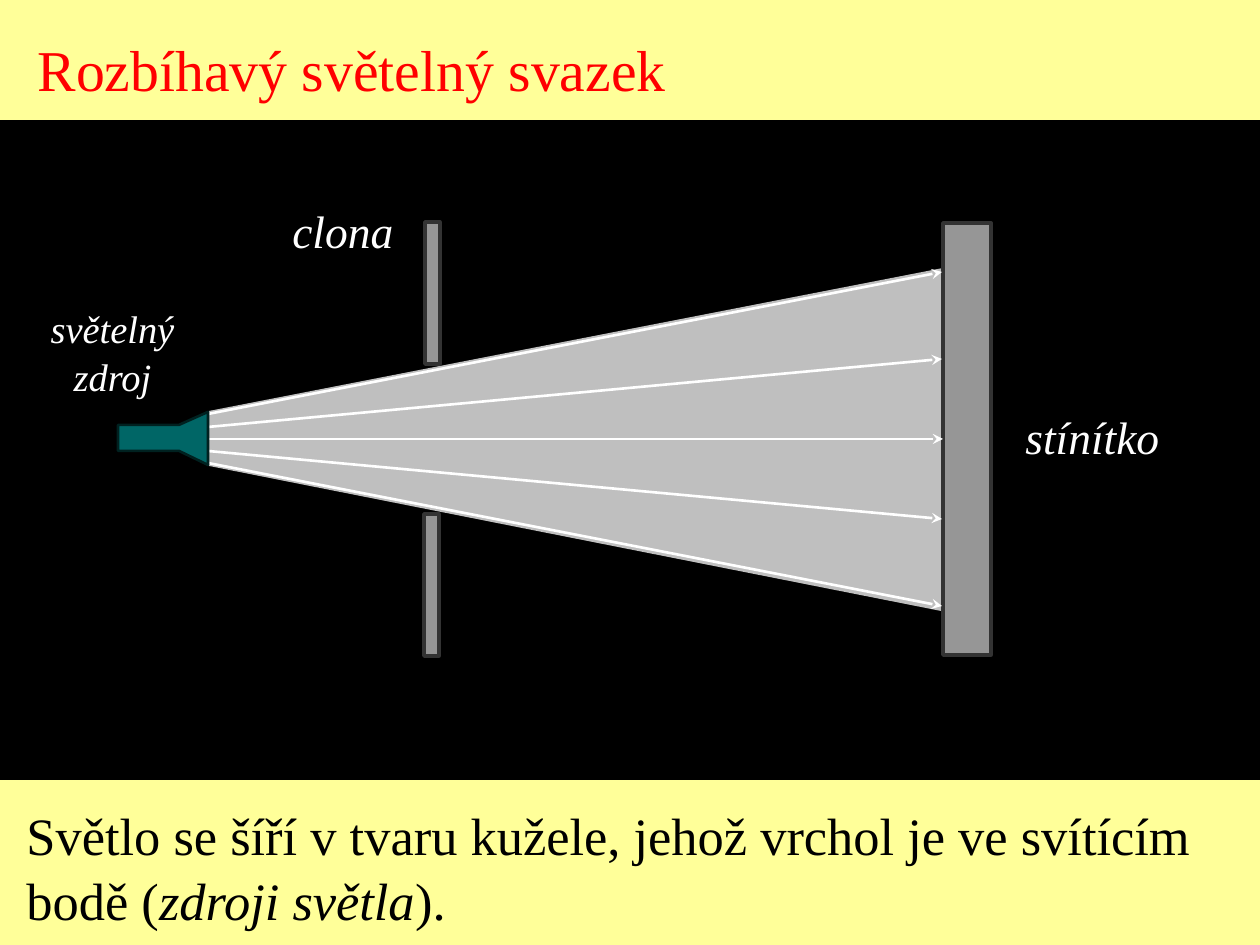
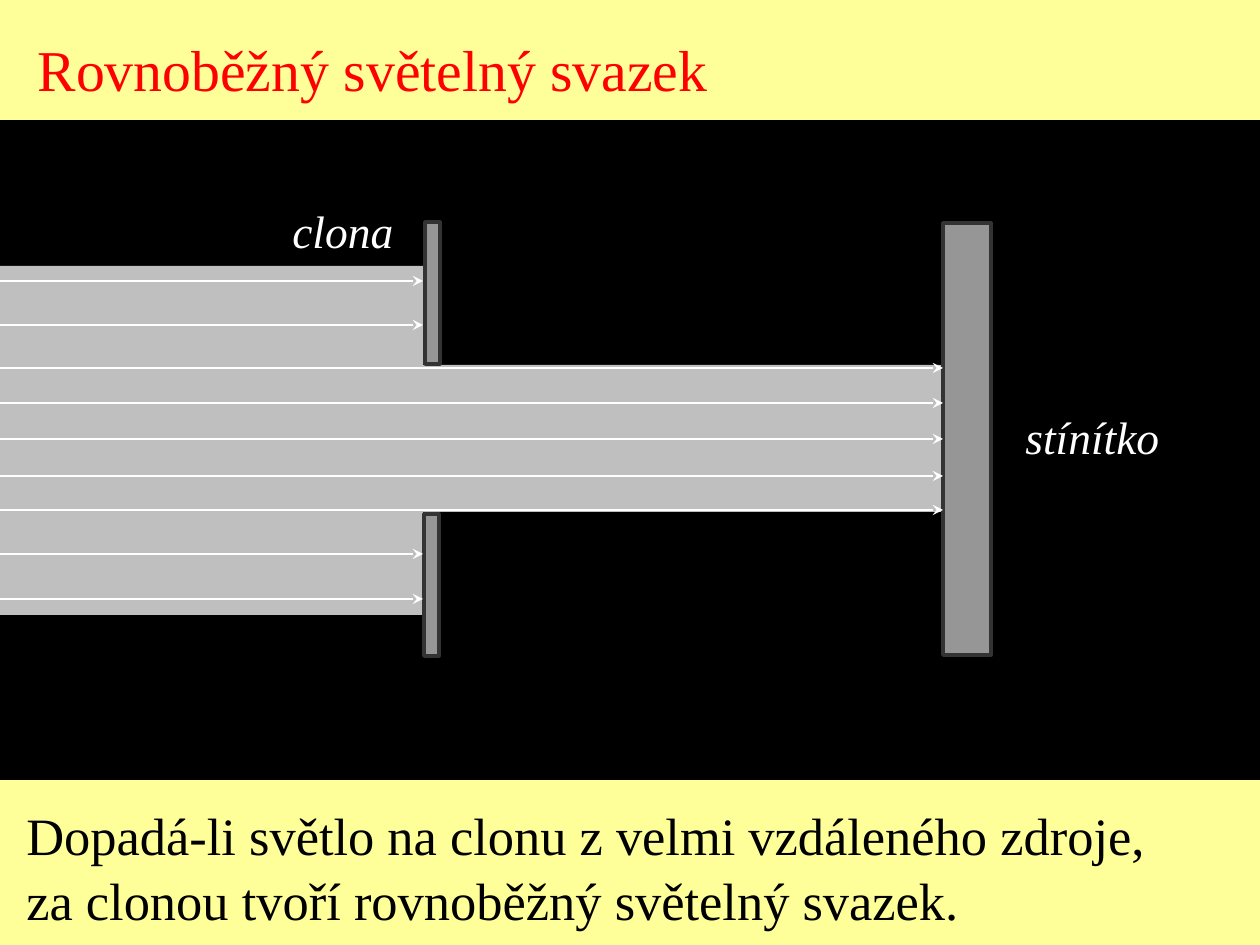
"""Two slides on diverging and parallel beams of light."""
from lxml import etree
from pptx import Presentation
from pptx.dml.color import RGBColor
from pptx.enum.shapes import MSO_CONNECTOR, MSO_SHAPE
from pptx.enum.text import MSO_ANCHOR, MSO_AUTO_SIZE, PP_ALIGN
from pptx.oxml.ns import qn
from pptx.util import Emu, Pt

STRAIGHT = MSO_CONNECTOR.STRAIGHT
RECT = MSO_SHAPE.RECTANGLE
TOP = MSO_ANCHOR.TOP
FIXED = MSO_AUTO_SIZE.NONE
LEFT, CENTER = PP_ALIGN.LEFT, PP_ALIGN.CENTER

SCALE = 914400 / 126
FONT = "Times New Roman"
LEADING = 1.04
CREAM, BLACK, WHITE, RED = "FFFF99", "000000", "FFFFFF", "FF0000"
GRAY, EDGE, TEAL, DARK = "969696", "333333", "006666", "002120"
AXIS = 439
SHUT = 423
WALL = 943


def px(size):
    """Turn pixels into EMU."""
    return Emu(round(size * SCALE))


def paint(format, color):
    """Give a fill one solid colour."""
    format.solid()
    format.fore_color.rgb = RGBColor.from_string(color)


def style(shape, fill, edge=None, width=1):
    """Set fill and outline, without shadow."""
    shape.shadow.inherit = False
    paint(shape.fill, fill)
    if edge:
        paint(shape.line.fill, edge)
        shape.line.width = Pt(width)
    else:
        shape.line.fill.background()


def write(shape, lines, size, color, slant=False, align=LEFT):
    """Write lines, each a list of (text, italic) runs or a string."""
    frame = shape.text_frame
    frame.word_wrap = False
    frame.auto_size = FIXED
    frame.vertical_anchor = TOP
    for row, line in enumerate(lines):
        para = frame.add_paragraph() if row else frame.paragraphs[0]
        para.alignment = align
        para.line_spacing = LEADING
        for text, tilt in [(line, slant)] if isinstance(line, str) else line:
            run = para.add_run()
            run.text = text
            run.font.name = FONT
            run.font.size = Pt(size)
            run.font.italic = tilt
            paint(run.font.fill, color)


def label(slide, box, lines, size, color=WHITE, slant=True, align=LEFT):
    """Add a text box."""
    shape = slide.shapes.add_textbox(*map(px, box))
    write(shape, lines, size, color, slant, align)


def block(slide, box, fill, edge, width):
    """Add a rectangle."""
    shape = slide.shapes.add_shape(RECT, *map(px, box))
    style(shape, fill, edge, width)
    return shape


def outline(slide, points, fill, edge=None, width=1):
    """Add a closed polygon."""
    first, *rest = points
    maker = slide.shapes.build_freeform(*first, scale=SCALE)
    maker.add_line_segments(rest, close=True)
    shape = maker.convert_to_shape()
    style(shape, fill, edge, width)
    return shape


def beam(slide, points):
    """Add a lit area, white at 75 % opacity."""
    shape = outline(slide, points, WHITE)
    tint = shape.fill._xPr.find(".//" + qn("a:srgbClr"))
    etree.SubElement(tint, qn("a:alpha"), val="75000")


def ray(slide, start, end, goal=None):
    """Add a white arrow, joined to the left side of goal if given."""
    link = slide.shapes.add_connector(STRAIGHT, *map(px, start + end))
    if goal is not None:
        link.end_connect(goal, 1)
    paint(link.line.fill, WHITE)
    link.line.width = Pt(1.5)
    etree.SubElement(link.line._get_or_add_ln(), qn("a:tailEnd"), type="stealth")
    etree.SubElement(link._element.spPr, qn("a:effectLst"))


def scene(deck, title, wide, notes, span, light):
    """Add a slide with title, caption, lit area, screen and shutter."""
    slide = deck.slides.add_slide(deck.slide_layouts[5])
    head = slide.shapes.title
    head.left, head.top, head.width, head.height = map(px, (25, 25, wide, 82))
    write(head, [title], 33, RED)
    label(slide, (14, 794, span, 139), notes, 30, BLACK, False)
    block(slide, (0, 121, 1260, 658), BLACK, BLACK, 1)
    beam(slide, light)
    screen = block(slide, (WALL, 223, 48, 432), GRAY, EDGE, 2)
    for left, top in ((425, 222), (424, 514)):
        block(slide, (left, top, 15, 142), GRAY, EDGE, 2)
    label(slide, (1013, 401, 159, 68), ["stínítko"], 26)
    label(slide, (280, 195, 126, 68), ["clona"], 26)
    return slide, screen


def spread(deck):
    """Build the slide on the diverging beam."""
    slide, screen = scene(
        deck, "Rozbíhavý světelný svazek", 654,
        ["Světlo se šíří v tvaru kužele, jehož vrchol je ve svítícím",
         [("bodě (", False), ("zdroji světla", True), (").", False)]],
        1189, [(209, 411), (WALL, 268), (941, 611), (209, 466)])
    ray(slide, (207, AXIS), (WALL, AXIS), screen)
    for start, end in ((427, 359), (451, 519), (414, 272), (463, 606)):
        ray(slide, (208, start), (942, end))
    outline(slide, [(118, 425), (179, 425), (208, 412), (208, 465),
                    (179, 451), (118, 451)], TEAL, DARK, 1.5)
    label(slide, (38, 297, 149, 106), ["světelný", "zdroj"], 22, align=CENTER)


def level(deck):
    """Build the slide on the parallel beam."""
    slide, screen = scene(
        deck, "Rovnoběžný světelný svazek", 696,
        ["Dopadá-li světlo na clonu z velmi vzdáleného zdroje,",
         "za clonou tvoří rovnoběžný světelný svazek."],
        1144, [(0, 266), (SHUT, 266), (SHUT, 365), (WALL, 365),
               (WALL, 512), (SHUT, 512), (SHUT, 615), (0, 615)])
    ray(slide, (0, AXIS), (WALL, AXIS), screen)
    for end, rows in ((WALL, (368, 403, 476, 510)),
                      (SHUT, (281, 325, 554, 599))):
        for row in rows:
            ray(slide, (0, row), (end, row))


def main():
    """Build and save the deck."""
    deck = Presentation()
    deck.slide_width, deck.slide_height = px(1260), px(945)
    paint(deck.slide_master.background.fill, CREAM)
    spread(deck)
    level(deck)
    deck.save("out.pptx")


if __name__ == "__main__":
    main()
